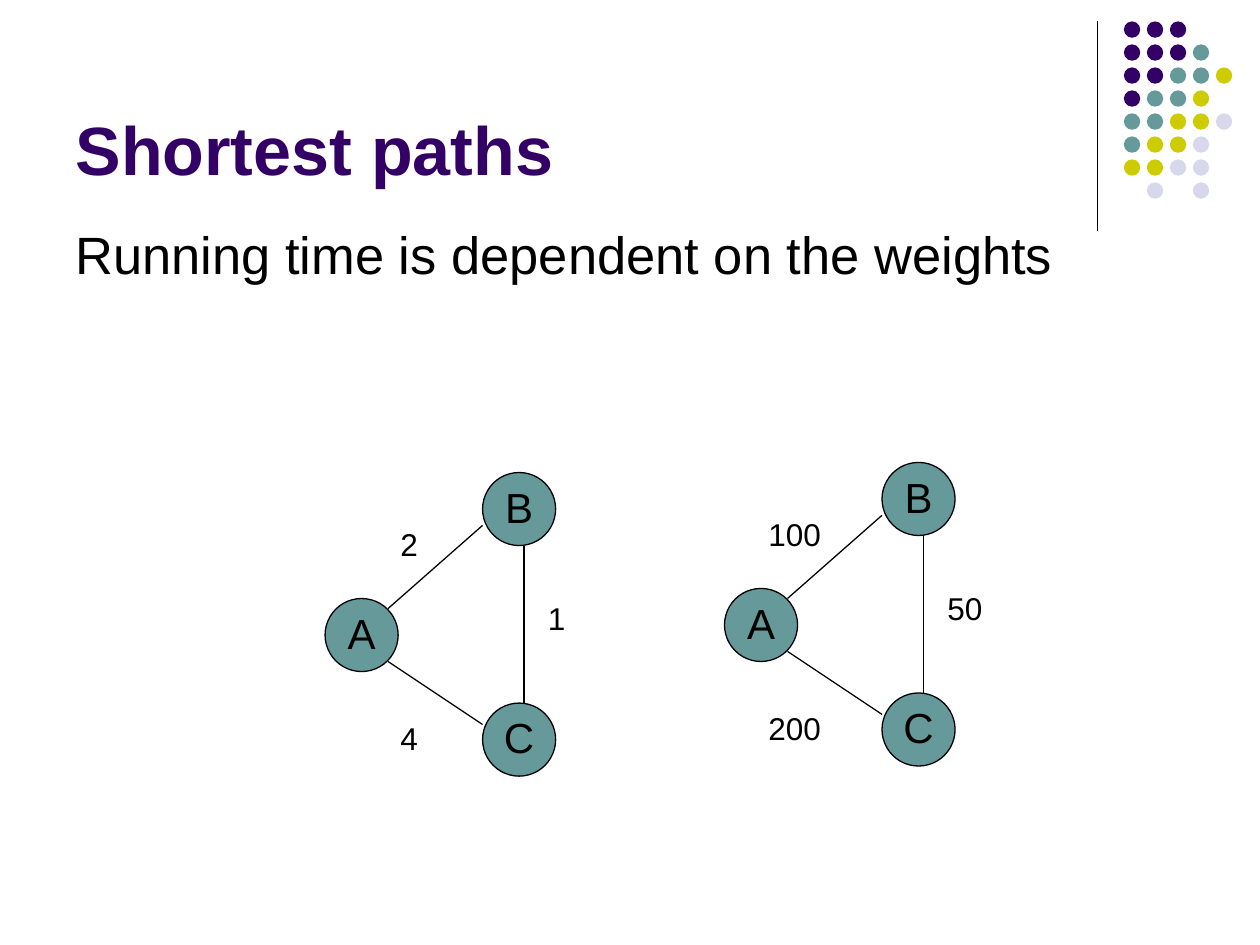
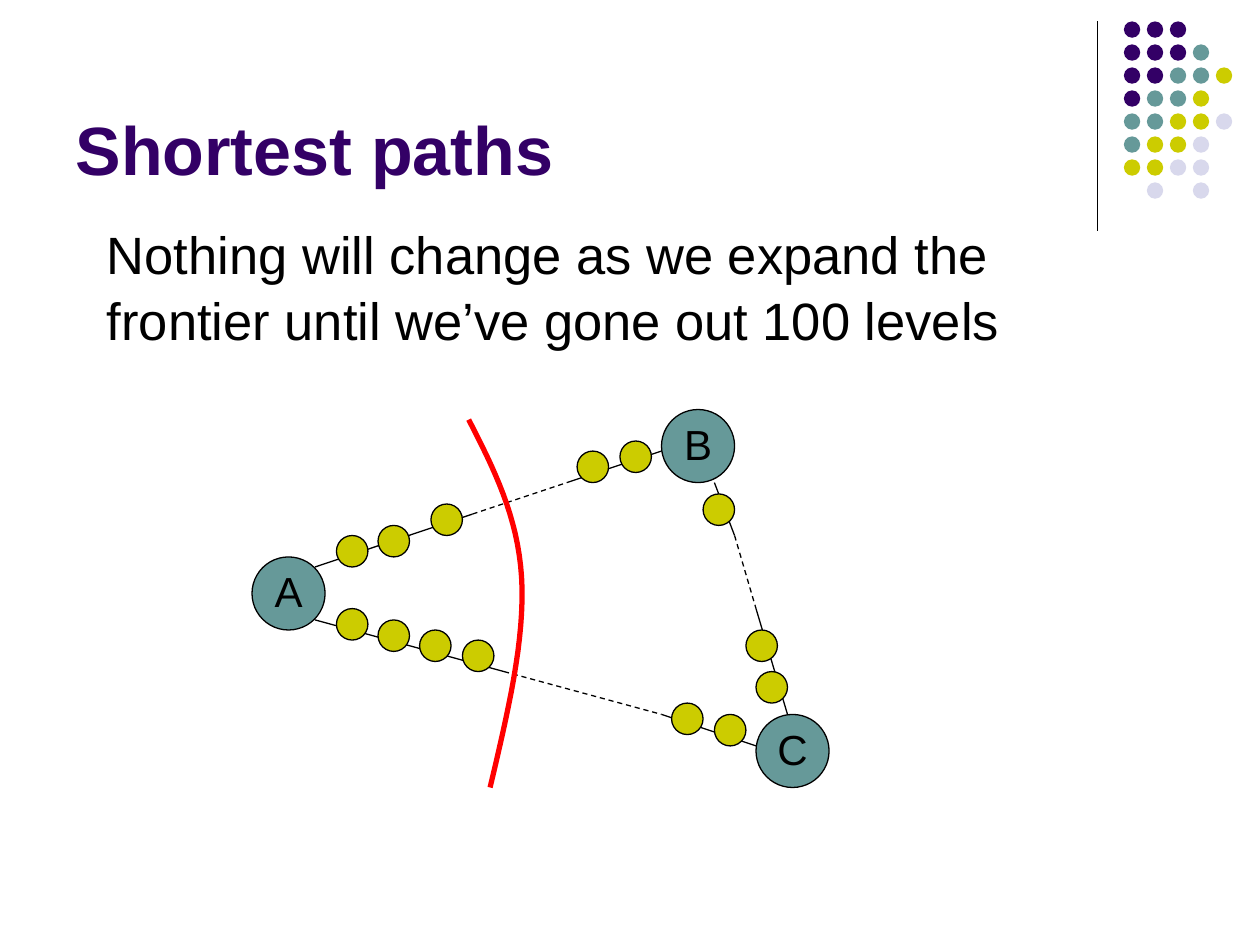
import dataclasses

import lxml.etree
import pptx
import pptx.dml.color
import pptx.enum.dml
import pptx.enum.shapes
import pptx.enum.text
import pptx.oxml.ns
import pptx.util

Inches = pptx.util.Inches
Pt = pptx.util.Pt
OVAL = pptx.enum.shapes.MSO_SHAPE.OVAL
STRAIGHT = pptx.enum.shapes.MSO_CONNECTOR.STRAIGHT
ANCHOR = pptx.enum.text.MSO_ANCHOR
ALIGN = pptx.enum.text.PP_ALIGN


@dataclasses.dataclass(frozen=True)
class Theme:
    font: str = "Arial"
    purple: str = "330066"
    teal: str = "669999"
    yellow: str = "CCCC00"
    lavender: str = "D8D8EC"
    black: str = "000000"
    red: str = "FF0000"
    title_size: int = 39
    body_size: int = 30
    node_size: int = 24
    weight_size: int = 18
    thin: float = 0.75
    thick: float = 3
    node: float = 0.58
    bead: float = 0.25


THEME = Theme()
DOT_COLORS = {"P": THEME.purple, "T": THEME.teal, "Y": THEME.yellow, "L": THEME.lavender}
DOT_ROWS = ["PPP", "PPPT", "PPTTY", "PTTY", "TTYYL", "TYYL", "YYLL", " L L"]


def rgb(value):
    return pptx.dml.color.RGBColor.from_string(value)


def write(tf, text, size, color=THEME.black, bold=False, align=ALIGN.LEFT):
    tf.text = text
    p = tf.paragraphs[0]
    p.alignment = align
    p.space_before = Pt(0)
    font = p.runs[0].font
    font.name, font.size, font.bold = THEME.font, Pt(size), bold
    font.color.rgb = rgb(color)
    return p


def add_text(s, x, y, w, h, text, size):
    tf = s.shapes.add_textbox(Inches(x), Inches(y), Inches(w), Inches(h)).text_frame
    tf.word_wrap = True
    tf.margin_top = Inches(0.07)
    write(tf, text, size).line_spacing = 1.05


def add_circle(s, x, y, size, fill, outlined=True):
    sp = s.shapes.add_shape(OVAL, Inches(x), Inches(y), Inches(size), Inches(size))
    sp.shadow.inherit = False
    sp.fill.solid()
    sp.fill.fore_color.rgb = rgb(fill)
    if outlined:
        sp.line.color.rgb = rgb(THEME.black)
        sp.line.width = Pt(THEME.thin)
    else:
        sp.line.fill.background()
    return sp


def add_node(s, x, y, name):
    tf = add_circle(s, x, y, THEME.node, THEME.teal).text_frame
    tf.margin_left = tf.margin_right = tf.margin_top = 0
    tf.margin_bottom = Inches(0.04)
    tf.vertical_anchor = ANCHOR.MIDDLE
    tf.word_wrap = False
    write(tf, name, THEME.node_size, align=ALIGN.CENTER)


def add_line(s, start, end, dashed=False):
    line = s.shapes.add_connector(STRAIGHT, *(Inches(v) for v in (*start, *end)))
    line.line.color.rgb = rgb(THEME.black)
    line.line.width = Pt(THEME.thin)
    if dashed:
        line.line.dash_style = pptx.enum.dml.MSO_LINE.DASH
    sp_pr = line._element.spPr
    lxml.etree.SubElement(sp_pr, pptx.oxml.ns.qn("a:effectLst"))


def shifted(x, y, points):
    return [(x + dx, y + dy) for dx, dy in points]


def dot_corner(s, x, y):
    pitch = 0.73 / 4
    add_line(s, (x, y), (x, y + 1.66))
    for row, letters in enumerate(DOT_ROWS):
        for col, letter in enumerate(letters):
            if letter in DOT_COLORS:
                add_circle(s, x + 0.21 + col * pitch, y + row * pitch, 0.13,
                           DOT_COLORS[letter], outlined=False)


def new_slide(prs, title):
    s = prs.slides.add_slide(prs.slide_layouts[5])
    dot_corner(s, 8.71, 0.17)
    sp = s.shapes.title
    sp.left, sp.top, sp.width, sp.height = (Inches(v) for v in (0.5, 0.13, 8.25, 1.42))
    tf = sp.text_frame
    tf.auto_size = pptx.enum.text.MSO_AUTO_SIZE.NONE
    tf.word_wrap = True
    tf.vertical_anchor = ANCHOR.BOTTOM
    write(tf, title, THEME.title_size, THEME.purple, bold=True)
    return s


def weighted_triangle(s, x, y, weights, left_weight_x):
    for name, dx, dy in [("A", 0, 1), ("B", 1.25, 0), ("C", 1.25, 1.83)]:
        add_node(s, x + dx, y + dy, name)
    edges = [((0.5, 1.08), (1.25, 0.42)), ((0.5, 1.5), (1.25, 2)), ((1.58, 1.83), (1.58, 0.58))]
    for edge in edges:
        add_line(s, *shifted(x, y, edge))
    places = [(left_weight_x, 0.33), (left_weight_x, 1.87), (1.67, 0.92)]
    for weight, (wx, wy) in zip(weights, shifted(x, y, places)):
        add_text(s, wx, wy, 0.83, 0.4, weight, THEME.weight_size)


def cubic(p0, p1, p2, p3, steps=16):
    for i in range(1, steps + 1):
        t = i / steps
        u = 1 - t
        yield tuple(u**3 * a + 3 * u * u * t * b + 3 * u * t * t * c + t**3 * d
                    for a, b, c, d in zip(p0, p1, p2, p3))


def frontier(s, x, y):
    top, middle, bottom = (0, 0), (0.42, 1.25), (0.17, 2.92)
    curve = [top,
             *cubic(top, (0.2, 0.39), (0.39, 0.77), middle),
             *cubic(middle, (0.45, 1.74), (0.31, 2.33), bottom)]
    points = [(Inches(px), Inches(py)) for px, py in shifted(x, y, curve)]
    builder = s.shapes.build_freeform(*points[0])
    builder.add_line_segments(points[1:], close=False)
    sp = builder.convert_to_shape()
    sp.shadow.inherit = False
    sp.fill.background()
    sp.line.color.rgb = rgb(THEME.red)
    sp.line.width = Pt(THEME.thick)


def expanded_graph(s, x, y):
    routes = [
        [(0.5, 1.25), (1.75, 0.83), (2.5, 0.58), (3.25, 0.33)],
        [(0.5, 1.67), (2, 2.08), (3.25, 2.42), (4, 2.67)],
        [(3.67, 0.58), (3.83, 1), (4, 1.58), (4.25, 2.42)],
    ]
    beads = [
        (0.67, 1), (1, 0.92), (1.42, 0.75), (2.58, 0.33), (2.92, 0.25),
        (0.67, 1.58), (1, 1.67), (1.33, 1.75), (1.67, 1.83), (3.33, 2.33), (3.67, 2.42),
        (4, 2.08), (3.92, 1.75), (3.58, 0.67),
    ]
    for route in routes:
        stops = shifted(x, y, route)
        for i, (start, end) in enumerate(zip(stops, stops[1:])):
            add_line(s, start, end, dashed=i == 1)
    for name, dx, dy in [("A", 0, 1.17), ("B", 3.25, 0), ("C", 4, 2.42)]:
        add_node(s, x + dx, y + dy, name)
    for bx, by in shifted(x, y, beads):
        add_circle(s, bx, by, THEME.bead, THEME.yellow)
    frontier(s, x + 1.72, y + 0.08)


def weights_slide(prs):
    s = new_slide(prs, "Shortest paths")
    add_text(s, 0.5, 1.67, 9, 1.33, "Running time is dependent on the weights", THEME.body_size)
    weighted_triangle(s, 2.58, 3.75, ["2", "4", "1"], 0.5)
    weighted_triangle(s, 5.75, 3.67, ["100", "200", "50"], 0.25)


def frontier_slide(prs):
    s = new_slide(prs, "Shortest paths")
    add_text(s, 0.75, 1.67, 7.92, 1.33,
             "Nothing will change as we expand the frontier until we’ve gone out 100 levels",
             THEME.body_size)
    expanded_graph(s, 2, 3.25)


def main():
    prs = pptx.Presentation()
    prs.slide_width, prs.slide_height = Inches(10), Inches(7.5)
    weights_slide(prs)
    frontier_slide(prs)
    prs.save("out.pptx")


if __name__ == "__main__":
    main()
